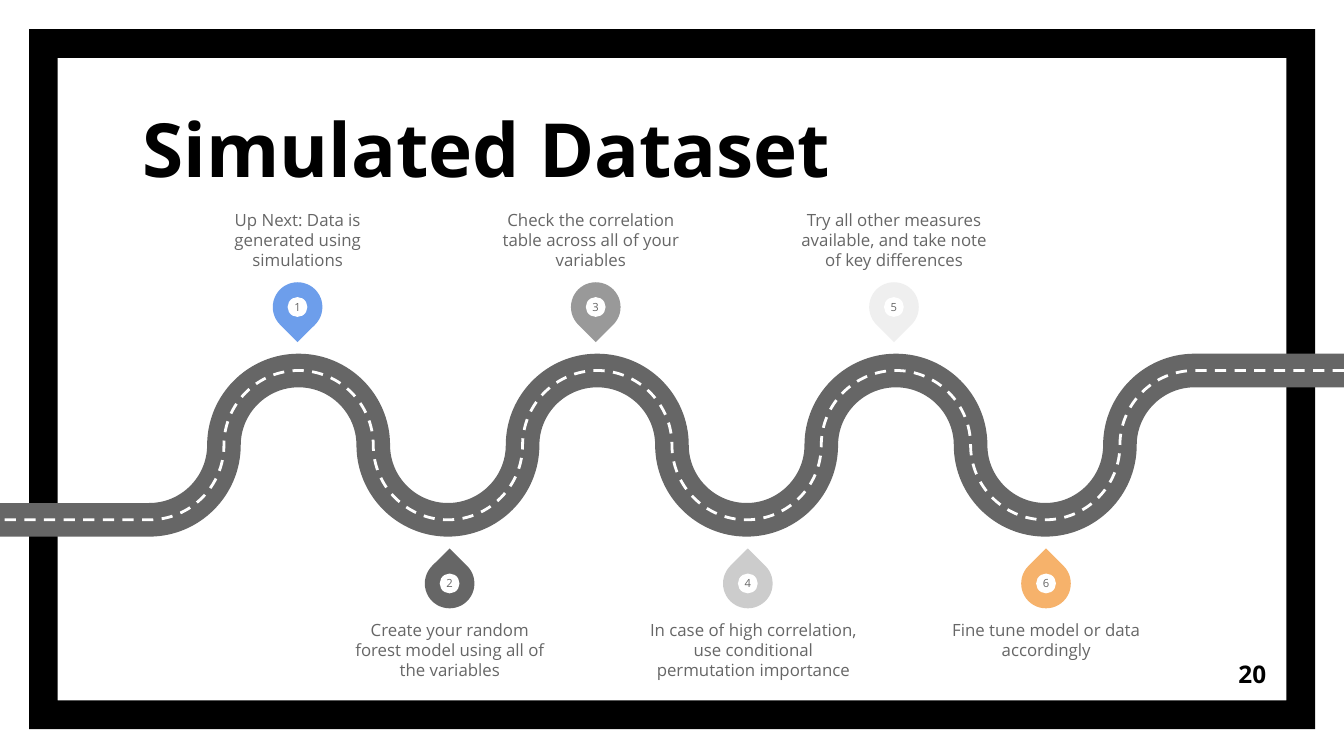
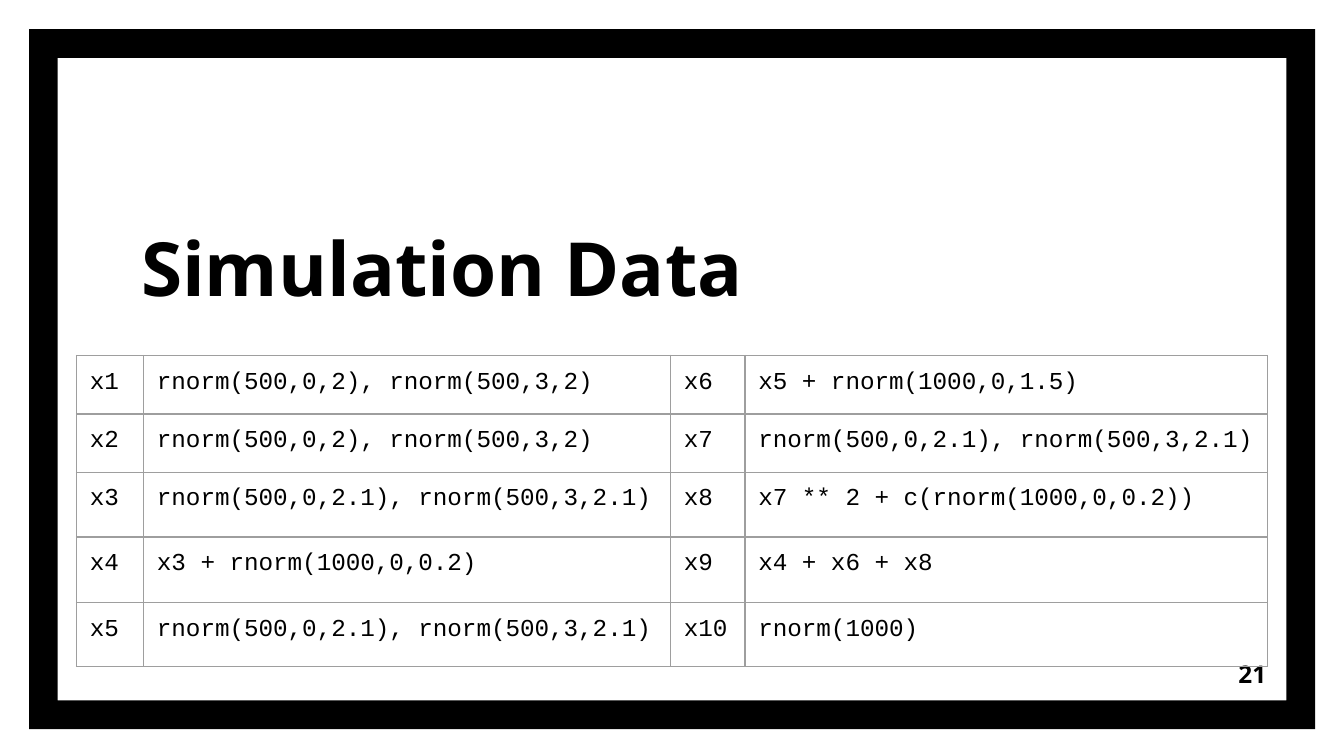
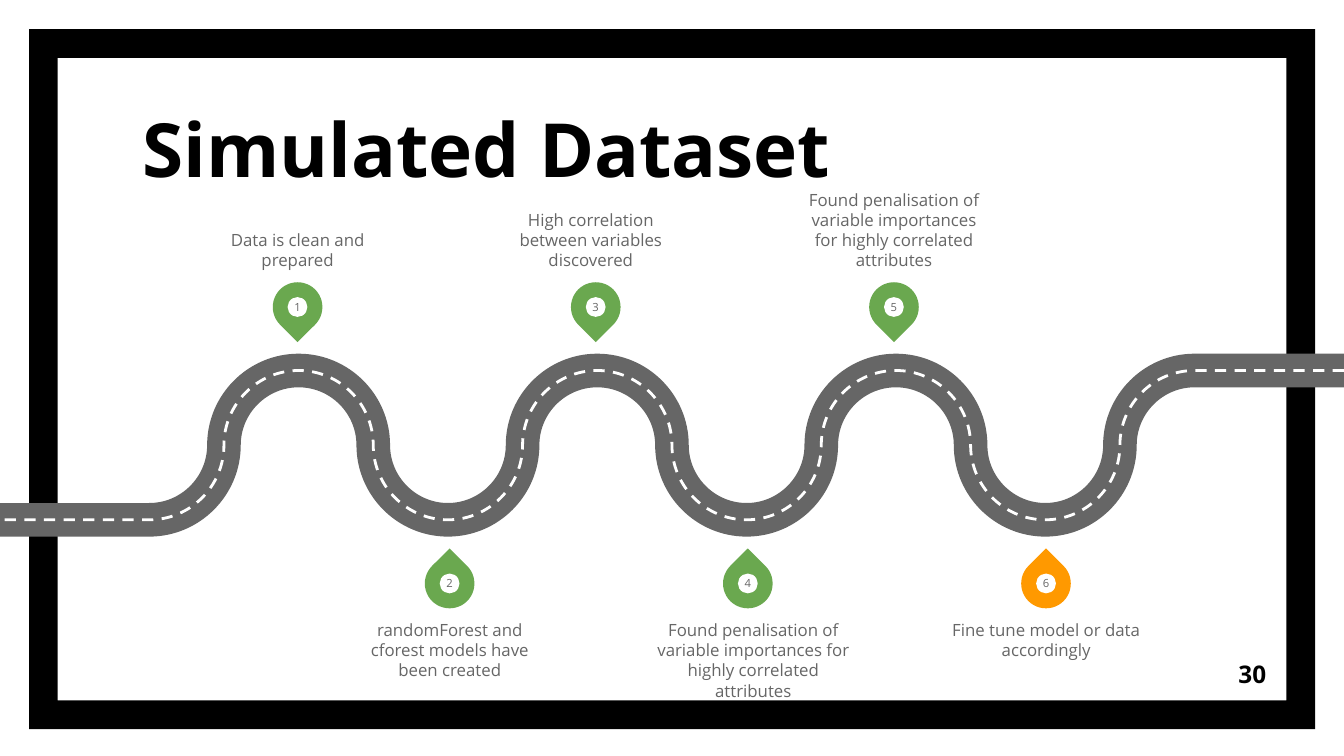
from lxml import etree
from pptx import Presentation
from pptx.dml.color import RGBColor
from pptx.enum import dml, shapes, text
from pptx.oxml import ns
from pptx.util import Pt

# Shared colours and fonts
BLACK = RGBColor(0x00, 0x00, 0x00)
WHITE = RGBColor(0xFF, 0xFF, 0xFF)
GREY = RGBColor(0x66, 0x66, 0x66)
RULE = RGBColor(0x9E, 0x9E, 0x9E)
MID = RGBColor(0x99, 0x99, 0x99)
LIGHT = RGBColor(0xCC, 0xCC, 0xCC)
PALE = RGBColor(0xEF, 0xEF, 0xEF)
BLUE = RGBColor(0x6D, 0x9E, 0xEB)
PEACH = RGBColor(0xF6, 0xB2, 0x6B)
GREEN = RGBColor(0x6A, 0xA8, 0x4F)
ORANGE = RGBColor(0xFF, 0x99, 0x00)
SANS, MONO = "Open Sans", "Courier New"

# Text formats
HEAD = dict(name=SANS, size=Pt(40), bold=True)
PAGE = dict(name=SANS, size=Pt(13), bold=True)
NOTE = dict(name=SANS, size=Pt(9))
DIGIT = dict(name=SANS, size=Pt(6))
CODE = dict(name=MONO, size=Pt(13), bold=False)

ALIGN, ANCHOR, KIND = text.PP_ALIGN, text.MSO_ANCHOR, shapes.MSO_SHAPE
SIDES = ("left", "top", "right", "bottom")

# Boxes as left, top, width, height in points
WIDE, HIGH = 720, 405
FRAME = (15.6, 15.6, 689, 375)
NUMBER = (642.2, 345.6, 43.2, 31)
TITLE = (69, 62.6, 550, 47.5)
LOW = (68.4, 67, 401, 107.2)
ROAD = (0, 198.5, WIDE, 80)


def pts(*nums):
    return [Pt(n) for n in nums]


def write(shape, words, font, color, align, anchor, inset):
    """Fill a shape with one formatted paragraph."""
    frame = shape.text_frame
    form = dict(word_wrap=True, auto_size=text.MSO_AUTO_SIZE.NONE,
                vertical_anchor=anchor)
    form.update({"margin_" + side: Pt(inset) for side in SIDES})
    for key, val in form.items():
        setattr(frame, key, val)
    para = frame.paragraphs[0]
    para.text, para.alignment = words, align
    style(para.font, font, color)


def style(font, form, color):
    for key, val in form.items():
        setattr(font, key, val)
    font.color.rgb = color


def solid(parts, kind, box, color):
    shape = parts.add_shape(kind, *pts(*box))
    shape.shadow.inherit = False
    shape.fill.solid()
    shape.fill.fore_color.rgb = color
    shape.line.fill.background()
    return shape


def border(layout, slide, box):
    """Draw the black frame and hand it to the layout."""
    frame = solid(slide.shapes, KIND.FRAME, box, BLACK)
    frame.adjustments[0] = 0.041
    layout.shapes.element.insert(2, frame.element)


def base(slide, title, box, page):
    """Title and page number."""
    head = slide.shapes.title
    head.left, head.top, head.width, head.height = pts(*box)
    write(head, title, HEAD, BLACK, ALIGN.LEFT, ANCHOR.BOTTOM, 7.2)
    note = slide.shapes.add_textbox(*pts(*NUMBER))
    write(note, page, PAGE, BLACK, ALIGN.RIGHT, ANCHOR.MIDDLE, 7.2)


def bends(box):
    """Control points of the quarter turns, from right to left."""
    left, top, wide, high = box
    rad = high / 2
    pull = 0.55 * rad
    levels = (top, top + rad, top + high, top + rad)
    start = left + wide - high
    points = []
    for turn in range(int((wide - 2 * high) / rad)):
        x, y = start - turn * rad, levels[turn % 4]
        end, goal = x - rad, levels[(turn + 1) % 4]
        lean = pull if goal > y else -pull
        if turn % 2 == 0:
            points += [(x - pull, y), (end, goal - lean), (end, goal)]
        else:
            points += [(x, y + lean), (end + pull, goal), (end, goal)]
    return [(start, top)] + points + [(left, top + high)]


def lane(slide, box, color, width, dash=None):
    """One winding line, its turns made into curves."""
    left, top, wide, _ = box
    build = slide.shapes.build_freeform(*pts(left + wide, top))
    build.add_line_segments([pts(*p) for p in bends(box)], close=False)
    shape = build.convert_to_shape()
    steps = list(shape.element.iter(ns.qn("a:lnTo")))[1:-1]
    for i in range(0, len(steps), 3):
        curve = etree.Element(ns.qn("a:cubicBezTo"))
        steps[i].addprevious(curve)
        for step in steps[i:i + 3]:
            curve.append(step[0])
            step.getparent().remove(step)
    shape.shadow.inherit = False
    shape.fill.background()
    shape.line.color.rgb = color
    shape.line.width = Pt(width)
    if dash:
        shape.line.dash_style = dash


def pin(slide, x, y, turn, digit, color):
    """Numbered marker centred on a point."""
    group = slide.shapes.add_group_shape().shapes
    size, dot = 26.6, 10.6
    drop = solid(group, KIND.TEAR, (x - size / 2, y - size / 2, size, size), color)
    drop.rotation = turn
    disc = solid(group, KIND.OVAL, (x - dot / 2, y - dot / 2, dot, dot), WHITE)
    write(disc, digit, DIGIT, GREY, ALIGN.CENTER, ANCHOR.MIDDLE, 0)


def route(slide, box, stops):
    """Road with stops in turn above and below it."""
    lane(slide, box, GREY, 18)
    lane(slide, box, WHITE, 1.5, dml.MSO_LINE.DASH)
    left, top, _, high = box
    for i, (words, color) in enumerate(stops):
        above = i % 2 == 0
        x = left + (159.4 if above else 240.9) + i // 2 * 159.75
        y = top - 34 if above else top + high + 34.1
        pin(slide, x, y, 135 if above else 315, str(i + 1), color)
        mid = x + {2: -2.7, 3: 2.9}.get(i, 0)
        wide = 113 if i == 3 else 101.5
        edge = top - 95.5 if above else top + high + 53.4
        note = slide.shapes.add_textbox(*pts(mid - wide / 2, edge, wide, 41.8))
        write(note, words, NOTE, GREY, ALIGN.CENTER,
              ANCHOR.BOTTOM if above else ANCHOR.TOP, 0)


def edges(cell):
    """Thin grey rule on each side of a cell."""
    props = cell._tc.get_or_add_tcPr()
    for i, tag in enumerate(("a:lnL", "a:lnR", "a:lnT", "a:lnB")):
        line = etree.Element(ns.qn(tag), w=str(Pt(0.75)))
        fill = etree.SubElement(line, ns.qn("a:solidFill"))
        etree.SubElement(fill, ns.qn("a:srgbClr"), val=str(RULE))
        props.insert(i, line)


def grid(slide, left, top, cols, rows, data):
    """Plain table of variable names and code."""
    part = slide.shapes.add_table(
        len(rows), len(cols), *pts(left, top, sum(cols), sum(rows)))
    table = part.table
    table.first_row = table.horz_banding = False
    for col, wide in zip(table.columns, cols):
        col.width = Pt(wide)
    for row, high, words in zip(table.rows, rows, data):
        row.height = Pt(high)
        for cell, word in zip(row.cells, words):
            for side in SIDES:
                setattr(cell, "margin_" + side, Pt(7.2))
            cell.fill.background()
            edges(cell)
            para = cell.text_frame.paragraphs[0]
            para.text = word
            style(para.font, CODE, BLACK)


# Slide content
PLAN = [
    ("Up Next: Data is generated using simulations", BLUE),
    ("Create your random forest model using all of the variables", GREY),
    ("Check the correlation table across all of your variables", MID),
    ("In case of high correlation, use conditional permutation importance", LIGHT),
    ("Try all other measures available, and take note of key differences", PALE),
    ("Fine tune model or data accordingly", PEACH),
]
BIAS = "Found penalisation of variable importances for highly correlated attributes"
DONE = [
    ("Data is clean and prepared", GREEN),
    ("randomForest and cforest models have been created", GREEN),
    ("High correlation between variables discovered", GREEN),
    (BIAS, GREEN),
    (BIAS, GREEN),
    ("Fine tune model or data accordingly", ORANGE),
]
PAIR = "rnorm(500,0,2), rnorm(500,3,2)"
SPREAD = "rnorm(500,0,2.1), rnorm(500,3,2.1)"
CODES = [PAIR, PAIR, SPREAD, "x3 + rnorm(1000,0,0.2)", SPREAD,
         "x5 + rnorm(1000,0,1.5)", SPREAD, "x7 ** 2 + c(rnorm(1000,0,0.2))",
         "x4 + x6 + x8", "rnorm(1000)"]
DATA = [(f"x{i}", code) for i, code in enumerate(CODES, 1)]
ROWS = (31.3, 31.3, 34.6, 35.2, 34.4)


def main():
    deck = Presentation()
    deck.slide_width, deck.slide_height = pts(WIDE, HIGH)
    layout = deck.slide_layouts[5]
    plan, data, done = [deck.slides.add_slide(layout) for _ in range(3)]
    border(layout, plan, FRAME)

    # Road maps
    for slide, page, stops in ((plan, "20", PLAN), (done, "30", DONE)):
        base(slide, "Simulated Dataset", TITLE, page)
        route(slide, ROAD, stops)

    # Variable tables
    base(data, "Simulation Data", LOW, "21")
    grid(data, 40.9, 190.5, (36, 282.3), ROWS, DATA[:5])
    grid(data, 359.2, 190.5, (39.9, 279.9), ROWS, DATA[5:])
    deck.save("out.pptx")


if __name__ == "__main__":
    main()
